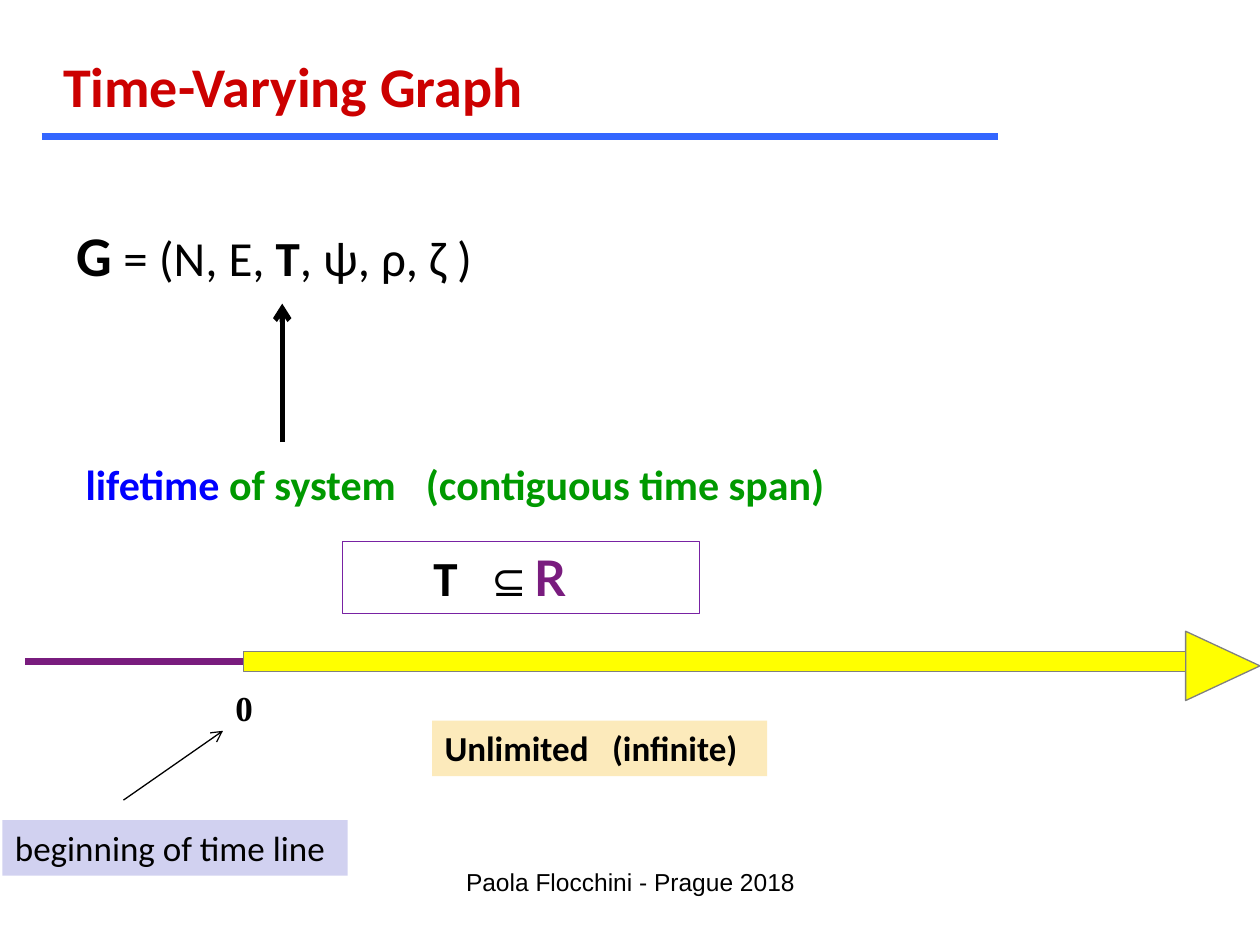
from lxml.etree import SubElement
from pptx import Presentation
from pptx.dml.color import RGBColor
from pptx.enum.shapes import MSO_CONNECTOR, MSO_SHAPE
from pptx.enum.text import MSO_ANCHOR, MSO_AUTO_SIZE, PP_ALIGN
from pptx.oxml.ns import qn
from pptx.util import Inches, Pt

BLACK = RGBColor(0x00, 0x00, 0x00)
RED = RGBColor(0xCC, 0x00, 0x00)
RULE_BLUE = RGBColor(0x33, 0x66, 0xFF)
BLUE = RGBColor(0x00, 0x00, 0xFF)
GREEN = RGBColor(0x00, 0x99, 0x00)
PURPLE = RGBColor(0x79, 0x1C, 0x7E)
VIOLET = RGBColor(0x78, 0x22, 0xA3)
YELLOW = RGBColor(0xFF, 0xFF, 0x00)
GRAY = RGBColor(0x80, 0x80, 0x80)
CREAM = RGBColor(0xFC, 0xEA, 0xBB)
LAVENDER = RGBColor(0xD1, 0xD1, 0xF0)

# Runs: text, size, bold, colour, font
TITLE = [("Time-Varying Graph", 32, True, RED, "Calibri")]
TITLE_AREA = (0.4, 0.36, 3.94, 0.64)

# Area, runs, left inset, tab stop
PLAIN_TEXTS = [
    ((0.51, 1.7, 8.56, 0.64),
     [("G", 32, True, BLACK, "Calibri"),
      (" = (N, E, ", 28, False, BLACK, "Calibri"),
      ("T", 28, True, BLACK, "Calibri"),
      (", ψ, ρ, ζ )", 28, False, BLACK, "Calibri")], 0.1, None),
    ((0.51, 3.59, 6.69, 0.5),
     [("lifetime", 24, True, BLUE, "Calibri"),
      (" of system\t(contiguous time span)", 24, True, GREEN, "Calibri")], 0.17, 2.7),
    ((3.27, 4.3, 1.81, 0.57),
     [("T", 28, True, BLACK, "Calibri"),
      ("\t⊆", 24, False, BLACK, "Calibri")], 0.17, 0.46),
    ((1.77, 5.4, 0.34, 0.44),
     [("0", 20, True, BLACK, "Times New Roman")], 0.1, None),
]
# Area, runs, left inset, tab stop, fill, outline
BOXED_TEXTS = [
    ((2.72, 4.3, 2.83, 0.57), [("R", 28, True, PURPLE, "Lato")], 1.52, None, None, VIOLET),
    ((3.43, 5.72, 2.66, 0.44),
     [("Unlimited\t(infinite)", 20, True, BLACK, "Calibri")], 0.1, 1.33, CREAM, None),
    ((0.02, 6.51, 2.74, 0.44),
     [("beginning of time line", 20, False, BLACK, "Calibri")], 0.1, None, LAVENDER, None),
]
FOOTER = [("Paola Flocchini - Prague 2018", 14, False, BLACK, "Arial")]
FOOTER_AREA = (3.42, 6.83, 3.17, 0.5)

# Start, end, colour, width, arrowhead
LINES = [
    ((0.33, 1.08), (7.92, 1.08), RULE_BLUE, 4, False),
    ((2.24, 3.51), (2.24, 2.41), BLACK, 3, True),
    ((0.2, 5.25), (9.69, 5.25), PURPLE, 4.5, True),
    ((0.98, 6.35), (1.77, 5.8), BLACK, 0.75, True),
]
# Preset, area, rotation
LIFETIME_ARROW = [
    (MSO_SHAPE.ISOSCELES_TRIANGLE, (9.43, 4.99, 0.55, 0.59), 90),
    (MSO_SHAPE.RECTANGLE, (1.93, 5.17, 7.48, 0.16), 0),
]


def inches(area):
    return [Inches(length) for length in area]


def write(shape, runs, inset=0.1, tab=None, align=PP_ALIGN.LEFT):
    frame = shape.text_frame
    frame.word_wrap = True
    frame.auto_size = MSO_AUTO_SIZE.NONE
    frame.vertical_anchor = MSO_ANCHOR.TOP
    frame.margin_left, frame.margin_right = Inches(inset), Inches(0.1)
    frame.margin_top = frame.margin_bottom = Inches(0.05)
    paragraph = frame.paragraphs[0]
    paragraph.alignment = align
    if tab:
        stops = SubElement(paragraph._p.get_or_add_pPr(), qn("a:tabLst"))
        SubElement(stops, qn("a:tab"), pos=str(Inches(tab)), algn="l")
    for text, size, bold, color, font in runs:
        run = paragraph.add_run()
        run.text = text
        run.font.size, run.font.bold, run.font.name = Pt(size), bold, font
        run.font.color.rgb = color


def add_block(slide, preset, area, fill, outline):
    block = slide.shapes.add_shape(preset, *inches(area))
    block.shadow.inherit = False
    if fill is None:
        block.fill.background()
    else:
        block.fill.solid()
        block.fill.fore_color.rgb = fill
    if outline is None:
        block.line.fill.background()
    else:
        block.line.color.rgb = outline
        block.line.width = Pt(0.75)
    return block


def add_line(slide, start, end, color, width, arrowhead):
    line = slide.shapes.add_connector(MSO_CONNECTOR.STRAIGHT, *inches(start + end))
    line.line.color.rgb = color
    line.line.width = Pt(width)
    if arrowhead:
        SubElement(line.line._get_or_add_ln(), qn("a:tailEnd"), type="arrow")
    SubElement(line._element.spPr, qn("a:effectLst"))


def main():
    deck = Presentation()
    deck.slide_width, deck.slide_height = Inches(10), Inches(7.5)
    slide = deck.slides.add_slide(deck.slide_layouts[5])

    title = slide.shapes.title
    title.left, title.top, title.width, title.height = inches(TITLE_AREA)
    write(title, TITLE)

    for line in LINES:
        add_line(slide, *line)
    for preset, area, rotation in LIFETIME_ARROW:
        add_block(slide, preset, area, YELLOW, GRAY).rotation = rotation
    for area, runs, inset, tab, fill, outline in BOXED_TEXTS:
        write(add_block(slide, MSO_SHAPE.RECTANGLE, area, fill, outline), runs, inset, tab)
    for area, runs, inset, tab in PLAIN_TEXTS:
        write(slide.shapes.add_textbox(*inches(area)), runs, inset, tab)
    write(slide.shapes.add_textbox(*inches(FOOTER_AREA)), FOOTER, align=PP_ALIGN.CENTER)

    deck.save("out.pptx")


if __name__ == "__main__":
    main()
